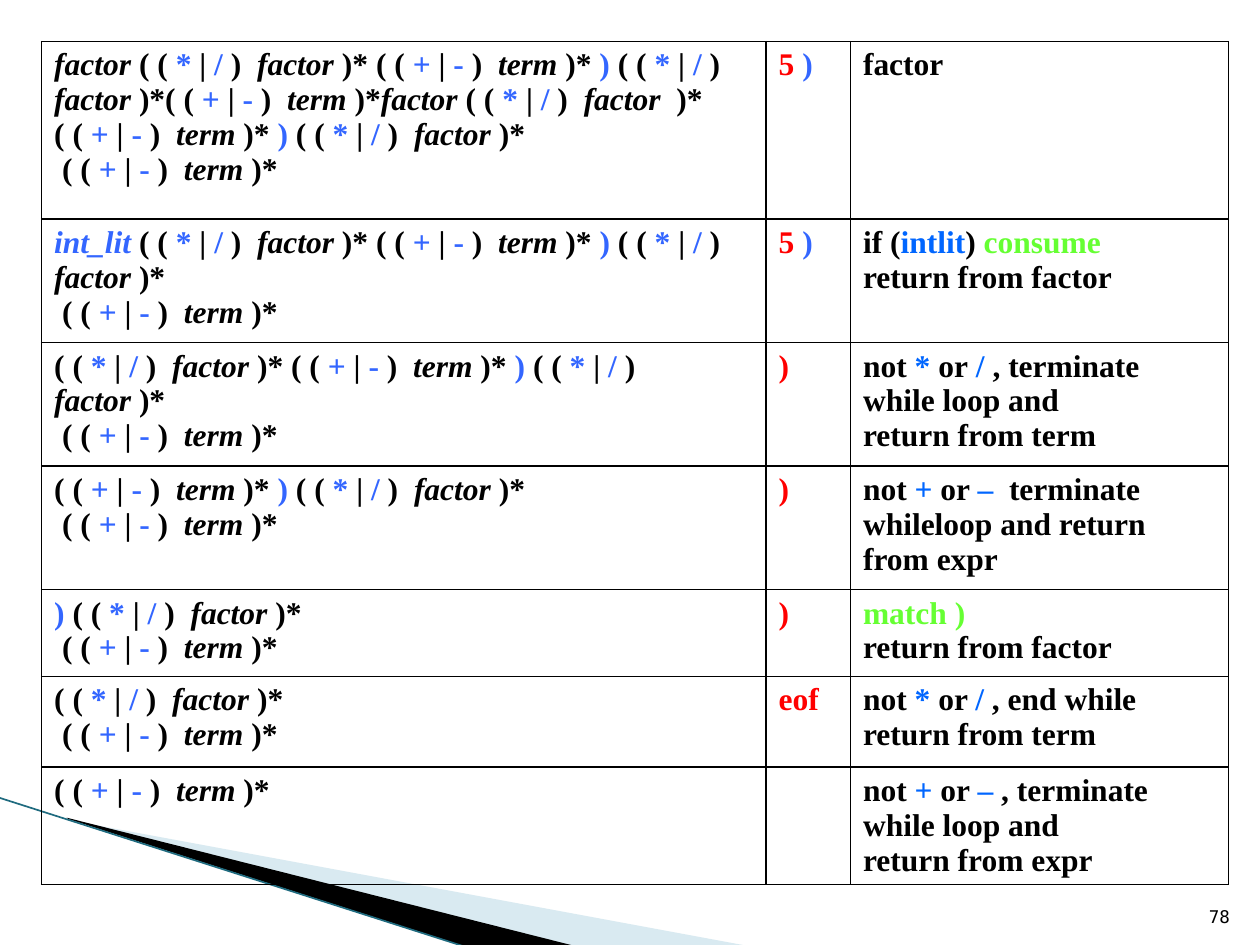
from typing import NamedTuple

from lxml import etree
from pptx import Presentation
from pptx.dml.color import RGBColor
from pptx.enum.shapes import MSO_CONNECTOR
from pptx.enum.text import MSO_ANCHOR, PP_ALIGN
from pptx.oxml.ns import qn
from pptx.util import Inches, Pt

STRAIGHT = MSO_CONNECTOR.STRAIGHT
BOTTOM = MSO_ANCHOR.BOTTOM
RIGHT = PP_ALIGN.RIGHT

COLORS = {
    "black": "000000",
    "token": "3366FF",
    "keyword": "0066FF",
    "input": "FF0000",
    "action": "66FF33",
    "pale": "A0CBDC",
    "edge": "1F6B7F",
}
TABLE_FONT = "Times New Roman"
NUMBER_FONT = "DejaVu Sans Mono"


class Run(NamedTuple):
    text: str
    color: str = "black"
    italic: bool = False


class Step(NamedTuple):
    """One table row; each cell is a list of paragraphs made of runs."""
    height: float
    pending: list
    rest: list
    action: list


class Wedge(NamedTuple):
    points: list
    color: str
    opacity: int


def token(text: str) -> Run:
    return Run(text, "token")


def keyword(text: str) -> Run:
    return Run(text, "keyword")


BREAK = Run("\n")
SPACE = Run(" ")
CLOSE = token(" ) ")
FACTOR = Run("factor", italic=True)
TERM = Run("term", italic=True)
OPEN = Run("( ( ")
END = Run(" )*")
INPUT_CLOSE = Run(")", "input")

FACTORS = [OPEN, token("*"), Run(" |"), token(" /"), Run(" )  "), FACTOR, END]
TERMS = [OPEN, token("+"), Run(" | "), token("-"), Run(" )  "), TERM, END]
FACTORS_SPACED = FACTORS[:-1] + [Run("  )*")]
LAST_TERMS = [BREAK, SPACE, *TERMS]
TAIL = [*FACTORS, *LAST_TERMS]
AFTER_TERM = [*TERMS, CLOSE, *TAIL]
AFTER_FACTOR = [*FACTORS, SPACE, *AFTER_TERM]
FIVE_CLOSE = [[Run("5", "input"), token(" )")]]

STEPS = [
    Step(1.41,
         [[FACTOR, SPACE, *FACTORS, SPACE, *TERMS, CLOSE, *FACTORS, *TERMS,
           FACTOR, SPACE, *FACTORS_SPACED, SPACE, *AFTER_TERM]],
         FIVE_CLOSE,
         [[Run("factor")]]),
    Step(0.98,
         [[Run("int_lit ", "token", True), *AFTER_FACTOR]],
         FIVE_CLOSE,
         [[Run("if ("), keyword("intlit"), Run(") "), Run("consume", "action")],
          [Run("return from factor")]]),
    Step(0.98,
         [AFTER_FACTOR],
         [[INPUT_CLOSE]],
         [[Run("not "), keyword("*"), Run(" or"), keyword(" / "),
           Run(", terminate while loop and")],
          [Run("return from term")]]),
    Step(0.98,
         [AFTER_TERM],
         [[INPUT_CLOSE]],
         [[Run("not "), keyword("+"), Run(" or "), keyword("–"),
           Run("  terminate whileloop and return from expr")]]),
    Step(0.69,
         [[token(") "), *TAIL]],
         [[INPUT_CLOSE]],
         [[Run("match )", "action")], [Run("return from factor")]]),
    Step(0.72,
         [TAIL],
         [[Run("eof", "input")]],
         [[Run("not "), keyword("*"), Run(" or "), keyword("/"),
           Run(" , end while")],
          [Run("return from term")]]),
    Step(0.7,
         [TERMS],
         [],
         [[Run("not "), keyword("+"), Run(" or "), keyword("–"),
           Run(" , terminate  while loop and")],
          [Run("return from expr")]]),
]
COLUMN_WIDTHS = [5.75, 0.67, 3]

WEDGES = [
    Wedge([(0.55, 6.51), (5.95, 7.51), (4.56, 7.51), (0.55, 6.5)], "pale", 40),
    Wedge([(0.53, 6.49), (4.57, 7.51), (3.72, 7.52), (0.54, 6.5)], "black", 100),
]


def rgb(name: str) -> RGBColor:
    return RGBColor.from_string(COLORS[name])


def add_wedge(slide, wedge: Wedge) -> None:
    points = [(Inches(x), Inches(y)) for x, y in wedge.points]
    builder = slide.shapes.build_freeform(*points[0])
    builder.add_line_segments(points[1:], close=True)
    s = builder.convert_to_shape()
    s.shadow.inherit = False
    s.line.fill.background()
    s.fill.solid()
    s.fill.fore_color.rgb = rgb(wedge.color)
    if wedge.opacity < 100:
        color = s.fill._xPr.find(qn("a:solidFill"))[0]
        etree.SubElement(color, qn("a:alpha"), val=str(wedge.opacity * 1000))


def add_edge(slide) -> None:
    line = slide.shapes.add_connector(
        STRAIGHT, Inches(-0.01), Inches(6.33), Inches(3.71), Inches(7.52))
    line.line.color.rgb = rgb("edge")
    line.line.width = Pt(0.95)
    etree.SubElement(line._element.spPr, qn("a:effectLst"))


def set_borders(cell) -> None:
    tc_pr = cell._tc.get_or_add_tcPr()
    for i, side in enumerate(("a:lnL", "a:lnR", "a:lnT", "a:lnB")):
        ln = etree.Element(qn(side), w=str(Pt(1)))
        fill = etree.SubElement(ln, qn("a:solidFill"))
        etree.SubElement(fill, qn("a:srgbClr"), val=COLORS["black"])
        tc_pr.insert(i, ln)


def write_cell(cell, paragraphs: list) -> None:
    cell.fill.background()
    set_borders(cell)
    tf = cell.text_frame
    for i, runs in enumerate(paragraphs):
        p = tf.add_paragraph() if i else tf.paragraphs[0]
        p.font.size = Pt(18)
        for run in runs:
            if run == BREAK:
                p.add_line_break()
                continue
            r = p.add_run()
            r.text = run.text
            r.font.name = TABLE_FONT
            r.font.size = Pt(18)
            r.font.bold = True
            r.font.italic = run.italic
            r.font.color.rgb = rgb(run.color)


def add_parse_table(slide) -> None:
    table = slide.shapes.add_table(
        len(STEPS), len(COLUMN_WIDTHS), Inches(0.33), Inches(0.33),
        Inches(sum(COLUMN_WIDTHS)), Inches(sum(s.height for s in STEPS))).table
    table.first_row = False
    table.horz_banding = False
    for column, width in zip(table.columns, COLUMN_WIDTHS):
        column.width = Inches(width)
    for row, step in zip(table.rows, STEPS):
        row.height = Inches(step.height)
        for cell, paragraphs in zip(row.cells, step[1:]):
            write_cell(cell, paragraphs)


def add_page_number(slide) -> None:
    tf = slide.shapes.add_textbox(
        Inches(9.46), Inches(7.01), Inches(0.4), Inches(0.4)).text_frame
    tf.word_wrap = True
    tf.vertical_anchor = BOTTOM
    tf.text = "78"
    p = tf.paragraphs[0]
    p.alignment = RIGHT
    font = p.runs[0].font
    font.name = NUMBER_FONT
    font.size = Pt(10)
    font.color.rgb = rgb("black")


def main() -> None:
    prs = Presentation()
    prs.slide_width = Inches(10)
    prs.slide_height = Inches(7.5)
    slide = prs.slides.add_slide(prs.slide_layouts[6])
    for wedge in WEDGES:
        add_wedge(slide, wedge)
    add_edge(slide)
    add_parse_table(slide)
    add_page_number(slide)
    prs.save("out.pptx")


if __name__ == "__main__":
    main()
